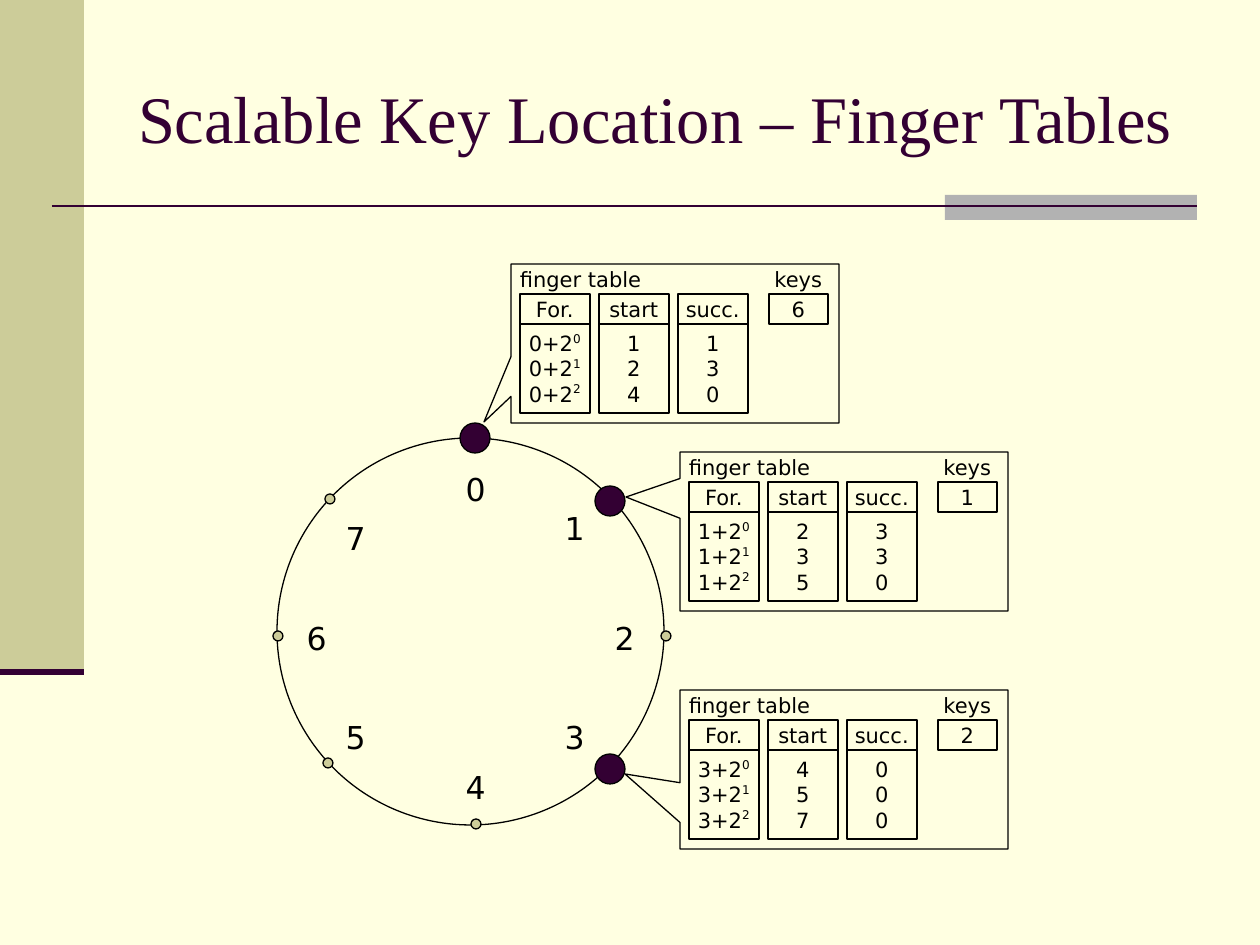
from lxml.etree import SubElement
from pptx import Presentation
from pptx.dml.color import RGBColor
from pptx.enum.shapes import MSO_CONNECTOR, MSO_SHAPE
from pptx.enum.text import MSO_ANCHOR, MSO_AUTO_SIZE, PP_ALIGN
from pptx.oxml.ns import qn
from pptx.util import Emu, Pt

PX = 914400 // 126
INK, SAND, GREY, CREAM, BLACK = "330033", "CCCC99", "B2B2B2", "FFFFE1", "000000"

# Content
TITLE = "Scalable Key Location – Finger Tables"
HEADERS = ("For.", "start", "succ.")
# Node number, node centre, label centre
NODES = [
    (0, (475, 438), (476, 488)),
    (1, (610, 501), (575, 527)),
    (2, (666, 636), (625, 637)),
    (3, (610, 769), (575, 736)),
    (4, (476, 824), (476, 786)),
    (5, (328, 763), (356, 736)),
    (6, (278, 636), (317, 637)),
    (7, (330, 499), (356, 537)),
]
# Node: callout corner, callout tip, starts, successors, key
FINGER_TABLES = {
    0: ((511, 264), (484, 422), "124", "130", "6"),
    1: ((680, 452), (626, 497), "235", "330", "1"),
    3: ((680, 690), (625, 774), "457", "000", "2"),
}

# Layout in px
CALLOUT_W, CALLOUT_H = 328, 159
MARGIN, COLUMN_W, COLUMN_PITCH = 9, 70, 79
ROW_H, BODY_H = 30, 89
KEYS_X, KEYS_W = 258, 59
LABEL_W, LABEL_H = 40, 39


def color(hex_string):
    return RGBColor.from_string(hex_string)


def box(x, y, w, h):
    return [Emu(v * PX) for v in (x, y, w, h)]


def write(shape, paragraphs, size=12, font="DejaVu Sans", fill=BLACK,
          align=PP_ALIGN.CENTER, wrap=False, left=12):
    """Each paragraph is a string; text after ^ is superscript."""
    frame = shape.text_frame
    frame.auto_size = MSO_AUTO_SIZE.NONE
    frame.word_wrap = wrap
    frame.vertical_anchor = MSO_ANCHOR.MIDDLE
    frame.margin_left = Emu(left * PX)
    for i, text in enumerate(paragraphs):
        paragraph = frame.add_paragraph() if i else frame.paragraphs[0]
        paragraph.alignment = align
        for part, piece in enumerate(text.split("^")):
            run = paragraph.add_run()
            run.text = piece
            run.font.size, run.font.name = Pt(size), font
            run.font.color.rgb = color(fill)
            if part:
                run.font._element.set("baseline", "40000")


def add_shape(slide, kind, area, fill=None, line=BLACK):
    shape = slide.shapes.add_shape(kind, *box(*area))
    shape.shadow.inherit = False
    if fill:
        shape.fill.solid()
        shape.fill.fore_color.rgb = color(fill)
    else:
        shape.fill.background()
    if line:
        shape.line.color.rgb = color(line)
        shape.line.width = Pt(0.75)
    else:
        shape.line.fill.background()
    return shape


def add_rule(slide, x1, x2, y, width):
    rule = slide.shapes.add_connector(MSO_CONNECTOR.STRAIGHT, *box(x1, y, x2, y))
    rule.line.color.rgb = color(INK)
    rule.line.width = Pt(width)
    SubElement(rule._element.spPr, qn("a:effectLst"))


def add_label(slide, area, text, **style):
    write(slide.shapes.add_textbox(*box(*area)), [text], **style)


def add_cell(slide, area, *paragraphs):
    write(add_shape(slide, MSO_SHAPE.RECTANGLE, area), paragraphs)


def add_finger_table(slide, node, corner, tip, starts, successors, key):
    x, y = corner
    callout = add_shape(slide, MSO_SHAPE.RECTANGULAR_CALLOUT,
                        (x, y, CALLOUT_W, CALLOUT_H))
    callout.adjustments[0] = (tip[0] - x) / CALLOUT_W - 0.5
    callout.adjustments[1] = (tip[1] - y) / CALLOUT_H - 0.5

    add_label(slide, (x + MARGIN, y, 208, ROW_H), "finger table",
              align=PP_ALIGN.LEFT, left=0)
    formulas = [f"{node}+2^{power}" for power in range(3)]
    for i, (header, values) in enumerate(zip(HEADERS, (formulas, starts, successors))):
        column_x = x + MARGIN + i * COLUMN_PITCH
        add_cell(slide, (column_x, y + ROW_H, COLUMN_W, ROW_H), header)
        add_cell(slide, (column_x, y + 2 * ROW_H, COLUMN_W, BODY_H), *values)

    add_label(slide, (x + KEYS_X, y, KEYS_W, ROW_H), "keys")
    add_cell(slide, (x + KEYS_X, y + ROW_H, KEYS_W, ROW_H), key)


def main():
    deck = Presentation()
    deck.slide_width, deck.slide_height = Emu(1260 * PX), Emu(945 * PX)
    slide = deck.slides.add_slide(deck.slide_layouts[5])
    slide.background.fill.solid()
    slide.background.fill.fore_color.rgb = color(CREAM)

    # Side band, accent and rules
    add_shape(slide, MSO_SHAPE.RECTANGLE, (0, 0, 84, 672), SAND, None)
    add_shape(slide, MSO_SHAPE.RECTANGLE, (945, 195, 252, 25), GREY, None)
    add_rule(slide, 52, 1197, 206, 1.5)
    add_rule(slide, 0, 84, 672, 3.5)

    # Title
    title = slide.shapes.title
    title.left, title.top, title.width, title.height = box(126, 38, 1071, 157)
    write(title, [TITLE], size=38, font="Times New Roman", fill=INK,
          align=PP_ALIGN.LEFT, wrap=True)

    # Ring of nodes; those with a finger table are large and dark
    add_shape(slide, MSO_SHAPE.OVAL, (277, 438, 387, 387))
    for number, (x, y), (label_x, label_y) in NODES:
        radius, fill = (15, INK) if number in FINGER_TABLES else (5, SAND)
        add_shape(slide, MSO_SHAPE.OVAL,
                  (x - radius, y - radius, 2 * radius, 2 * radius), fill)
        add_label(slide, (label_x - LABEL_W // 2, label_y - LABEL_H // 2,
                          LABEL_W, LABEL_H), str(number), size=18)

    # Finger tables
    for node, details in FINGER_TABLES.items():
        add_finger_table(slide, node, *details)

    deck.save("out.pptx")


if __name__ == "__main__":
    main()
